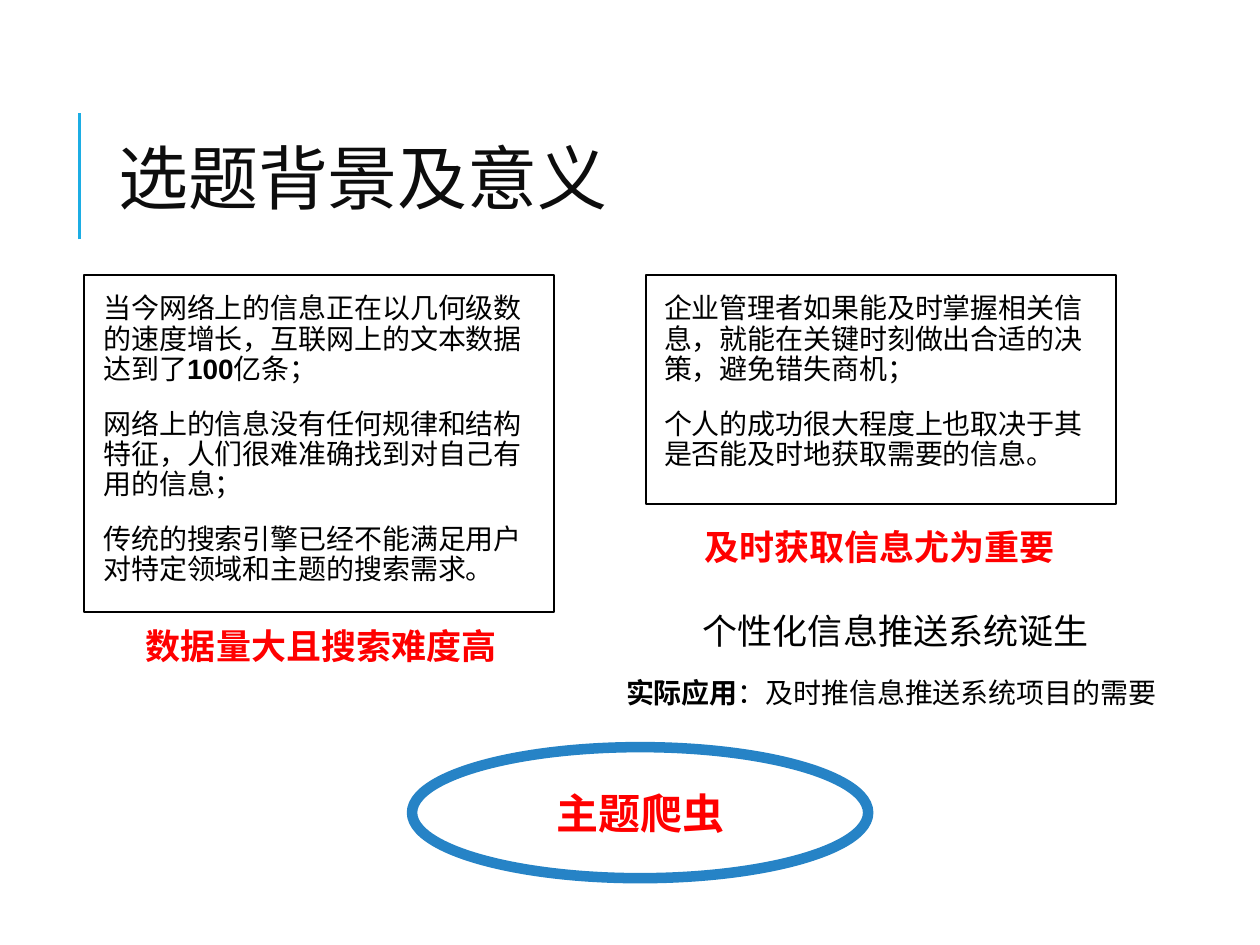
import dataclasses
import lxml.etree
import pptx
import pptx.dml.color
import pptx.enum.shapes
import pptx.enum.text
import pptx.oxml.ns
import pptx.util

Inches = pptx.util.Inches
Pt = pptx.util.Pt
Shape = pptx.enum.shapes.MSO_SHAPE
Anchor = pptx.enum.text.MSO_ANCHOR
Align = pptx.enum.text.PP_ALIGN
qn = pptx.oxml.ns.qn


@dataclasses.dataclass(frozen=True)
class Theme:
    black: str = "000000"
    ink: str = "0D0D0D"
    red: str = "FF0000"
    white: str = "FFFFFF"
    blue: str = "2683C6"
    cyan: str = "1CADE4"
    title: int = 40
    topic: int = 24
    claim: int = 20
    body: int = 16
    head: str = "Montserrat"
    latin: str = "Arial"
    asian: str = "Noto Sans CJK SC"


def color(code):
    return pptx.dml.color.RGBColor.from_string(code)


class Page:
    def __init__(self, slide, theme):
        self.slide = slide
        self.theme = theme

    def add_run(self, para, text, size, tint, bold=False, face=None):
        run = para.add_run()
        run.text = text
        font = run.font
        font.size = Pt(size)
        font.bold = bold
        font.color.rgb = color(tint)
        font.name = face or self.theme.asian
        props = run._r.get_or_add_rPr()
        props.set("lang", "zh-CN")
        lxml.etree.SubElement(props, qn("a:ea")).set("typeface", self.theme.asian)

    def text(self, left, top, width, height, wrap=True):
        box = self.slide.shapes.add_textbox(
            Inches(left), Inches(top), Inches(width), Inches(height))
        box.text_frame.word_wrap = wrap
        return box.text_frame

    def title(self, left, top, width, height, text):
        frame = self.text(left, top, width, height)
        frame.vertical_anchor = Anchor.MIDDLE
        para = frame.paragraphs[0]
        para.line_spacing = 0.8
        self.add_run(para, text, self.theme.title, self.theme.ink, face=self.theme.head)

    def label(self, left, top, width, text, tint, bold=False, wrap=False):
        frame = self.text(left, top, width, 0.44, wrap)
        self.add_run(frame.paragraphs[0], text, self.theme.claim, tint, bold)

    def body(self, para, parts):
        for text, bold in parts:
            self.add_run(para, text, self.theme.body, self.theme.black, bold, self.theme.latin)

    def note(self, left, top, width, parts):
        frame = self.text(left, top, width, 0.37, False)
        self.body(frame.paragraphs[0], parts)

    def points(self, left, top, width, height, items):
        frame = self.text(left, top, width, height)
        frame.margin_left = frame.margin_right = Inches(0.04)
        frame.margin_top = frame.margin_bottom = Inches(0.04)
        for i, parts in enumerate(items):
            para = frame.add_paragraph() if i else frame.paragraphs[0]
            para._p.get_or_add_pPr().set("marL", str(Inches(0.1)))
            para.line_spacing = 0.9
            para.space_before = Pt(12 if i else 0)
            para.space_after = Pt(2)
            self.body(para, parts)

    def shape(self, kind, left, top, width, height, tint, weight, fill=None):
        shape = self.slide.shapes.add_shape(
            kind, Inches(left), Inches(top), Inches(width), Inches(height))
        shape.shadow.inherit = False
        if fill:
            shape.fill.solid()
            shape.fill.fore_color.rgb = color(fill)
        else:
            shape.fill.background()
        shape.line.color.rgb = color(tint)
        shape.line.width = Pt(weight)
        return shape

    def frame(self, left, top, width, height):
        self.shape(Shape.RECTANGLE, left, top, width, height, self.theme.black, 1.25)

    def topic(self, left, top, width, height, parts):
        oval = self.shape(Shape.OVAL, left, top, width, height,
                          self.theme.blue, 6, self.theme.white)
        oval.text_frame.vertical_anchor = Anchor.MIDDLE
        para = oval.text_frame.paragraphs[0]
        para.alignment = Align.CENTER
        for text, face in parts:
            self.add_run(para, text, self.theme.topic, self.theme.red, True, face)

    def rule(self, x, top, end):
        line = self.slide.shapes.add_connector(
            pptx.enum.shapes.MSO_CONNECTOR.STRAIGHT,
            Inches(x), Inches(end), Inches(x), Inches(top))
        line.line.color.rgb = color(self.theme.cyan)
        line.line.width = Pt(1.5)
        lxml.etree.SubElement(line._element.spPr, qn("a:effectLst"))


def main():
    deck = pptx.Presentation()
    deck.slide_width = Inches(10)
    deck.slide_height = Inches(7.5)
    theme = Theme()
    page = Page(deck.slides.add_slide(deck.slide_layouts[6]), theme)

    page.rule(0.63, 0.9, 1.9)
    page.title(0.84, 0.64, 7.97, 1.64, "选题背景及意义")
    page.topic(3.27, 5.93, 3.62, 1.04, [("主题", theme.asian), ("爬虫", theme.latin)])

    page.frame(0.67, 2.18, 3.73, 2.68)
    page.frame(5.13, 2.18, 3.73, 1.82)
    page.points(0.68, 2.3, 3.72, 2.4, [
        [("当今网络上的信息正在以几何级数的速度增长，互联网上的文本数据达到了", False),
         ("100", True), ("亿条；", False)],
        [("网络上的信息没有任何规律和结构特征，人们很难准确找到对自己有用的信息；", False)],
        [("传统的搜索引擎已经不能满足用户对特定领域和主题的搜索需求。", False)],
    ])
    page.points(5.13, 2.3, 3.65, 1.7, [
        [("企业管理者如果能及时掌握相关信息，就能在关键时刻做出合适的决策，避免错失商机；", False)],
        [("个人的成功很大程度上也取决于其是否能及时地获取需要的信息。", False)],
    ])

    page.label(1.06, 4.91, 3.15, "数据量大且搜索难度高", theme.red, True, True)
    page.label(5.49, 4.12, 2.98, "及时获取信息尤为重要", theme.red, True)
    page.label(5.48, 4.79, 3.26, "个性化信息推送系统诞生", theme.black)
    page.note(4.87, 5.31, 4.41, [("实际应用", True), ("：及时推信息推送系统项目的需要", False)])

    deck.save("out.pptx")


if __name__ == "__main__":
    main()
